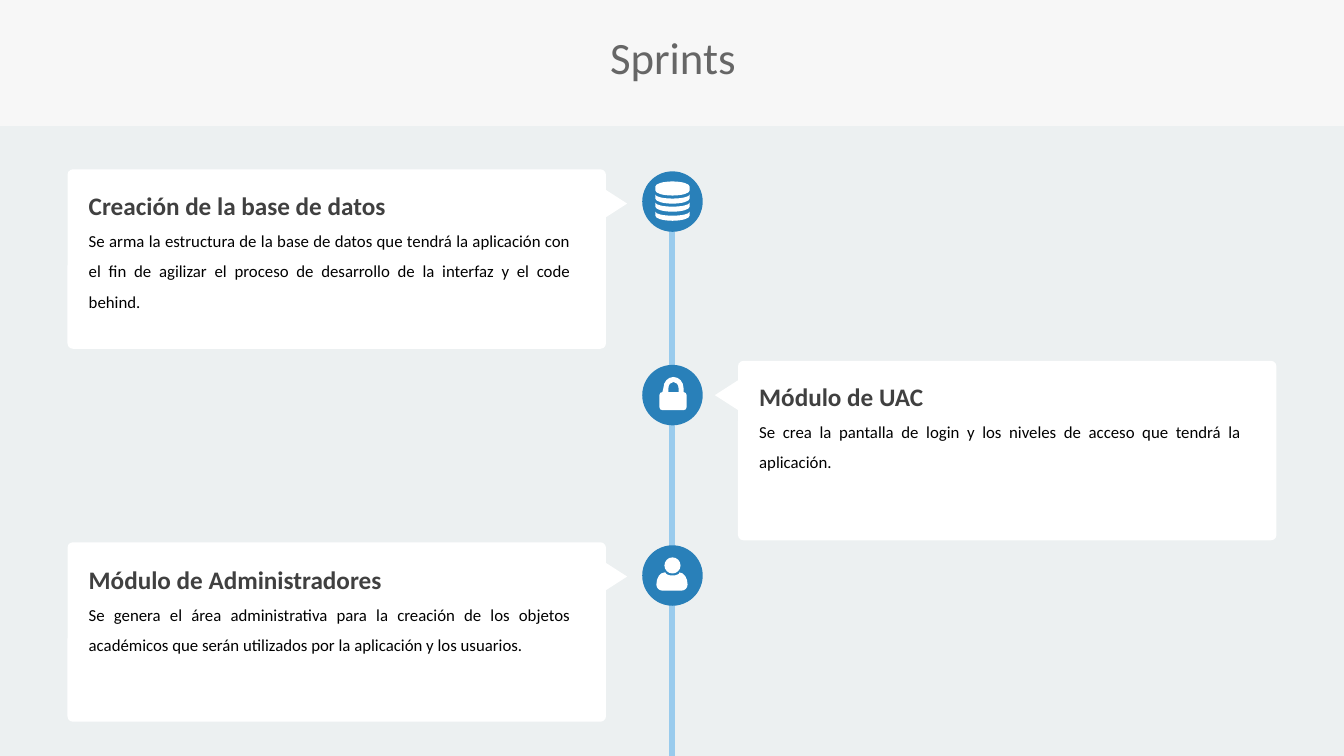
from math import cos, radians, sin

from lxml import etree
from pptx import Presentation
from pptx.dml.color import RGBColor
from pptx.enum.shapes import MSO_CONNECTOR, MSO_SHAPE
from pptx.enum.text import MSO_ANCHOR, PP_ALIGN
from pptx.oxml.ns import qn
from pptx.util import Inches, Pt


def paint(target, color):
    """Give a shape or a background a solid fill; a shape also loses line and shadow."""
    target.fill.solid()
    target.fill.fore_color.rgb = RGBColor.from_string(color)
    if hasattr(target, "shadow"):
        target.line.fill.background()
        target.shadow.inherit = False


def arc(cx, cy, rx, ry, start, end):
    """Bezier points, in threes: a straight run to the start, then one curve per quarter turn.

    Degrees run clockwise from the right.
    """
    turn = 90 if end > start else -90
    pull = 0.55 if turn > 0 else -0.55
    points = []
    for angle in range(start, end, turn):
        a, b = radians(angle), radians(angle + turn)
        if not points:
            points = [(cos(a), sin(a))] * 3
        points += [(cos(a) - pull * sin(a), sin(a) + pull * cos(a)),
                   (cos(b) + pull * sin(b), sin(b) - pull * cos(b)),
                   (cos(b), sin(b))]
    return [(Inches(cx + rx * x), Inches(cy + ry * y)) for x, y in points]


prs = Presentation()
prs.slide_width, prs.slide_height = Inches(13.33), Inches(7.5)
s = prs.slides.add_slide(prs.slide_layouts[6])
paint(s.background, "ECF0F1")

# Header and body panels
for top, height, color in [(0, 1.25, "F7F7F7"), (1.4, 6.1, "ECF0F1")]:
    panel = s.shapes.add_shape(
        MSO_SHAPE.RECTANGLE, 0, Inches(top), prs.slide_width, Inches(height))
    paint(panel, color)

# Timeline
AXIS = 6.67
timeline = s.shapes.add_connector(
    MSO_CONNECTOR.STRAIGHT, Inches(AXIS), Inches(7.5), Inches(AXIS), Inches(2.02))
timeline.line.color.rgb = RGBColor.from_string("99CBED")
timeline.line.width = Pt(4.25)
etree.SubElement(timeline._element.spPr, qn("a:effectLst"))

title = s.shapes.add_textbox(Inches(0.51), Inches(0.36), Inches(12.33), Inches(0.54))
tf = title.text_frame
tf.word_wrap = True
tf.vertical_anchor = MSO_ANCHOR.TOP
tf.margin_left = tf.margin_top = tf.margin_right = tf.margin_bottom = 0
p = tf.paragraphs[0]
p.text = "Sprints"
p.alignment = PP_ALIGN.CENTER
p.line_spacing = 0.9
p.font.name, p.font.size = "Calibri", Pt(32)
p.font.color.rgb = RGBColor.from_string("666666")

# Sprints: circle top, card left, card top, pointer left, rotation, text top, heading, body
sprints = [
    (1.7, 0.67, 1.68, 5.9, 90, 1.77, "Creación de la base de datos",
     "Se arma la estructura de la base de datos que tendrá la aplicación con el fin de "
     "agilizar el proceso de desarrollo de la interfaz y el code behind."),
    (3.62, 7.32, 3.58, 7.05, 270, 3.66, "Módulo de UAC",
     "Se crea la pantalla de login y los niveles de acceso que tendrá la aplicación."),
    (5.41, 0.67, 5.38, 5.9, 90, 5.48, "Módulo de Administradores",
     "Se genera el área administrativa para la creación de los objetos académicos que "
     "serán utilizados por la aplicación y los usuarios."),
]
for circle_top, left, top, pointer_left, rotation, text_top, heading, body in sprints:
    circle = s.shapes.add_shape(
        MSO_SHAPE.OVAL, Inches(AXIS - 0.3), Inches(circle_top), Inches(0.6), Inches(0.6))
    paint(circle, "2980B9")

    card = s.shapes.add_shape(
        MSO_SHAPE.ROUNDED_RECTANGLE, Inches(left), Inches(top), Inches(5.34), Inches(1.78))
    card.adjustments[0] = 0.03
    paint(card, "FFFFFF")
    pointer = s.shapes.add_shape(
        MSO_SHAPE.ISOSCELES_TRIANGLE, Inches(pointer_left), Inches(top + 0.2),
        Inches(0.36), Inches(0.28))
    pointer.rotation = rotation
    paint(pointer, "FFFFFF")

    text = s.shapes.add_textbox(
        Inches(left + 0.21), Inches(text_top), Inches(4.78), Inches(1.33))
    tf = text.text_frame
    tf.word_wrap = True
    tf.margin_left = tf.margin_top = tf.margin_right = tf.margin_bottom = 0
    for p, content, size, color, bold, spacing, align in [
        (tf.paragraphs[0], heading, 18, "404040", True, 1.4, PP_ALIGN.LEFT),
        (tf.add_paragraph(), body, 12, "000000", False, 1.5, PP_ALIGN.JUSTIFY),
    ]:
        p.text = content
        p.alignment, p.line_spacing = align, spacing
        p.font.name, p.font.size, p.font.bold = "Calibri", Pt(size), bold
        p.font.color.rgb = RGBColor.from_string(color)

# Icons, each a list of closed contours
person = [
    arc(6.76, 5.8, 0.06, 0.06, 90, 0)
    + arc(6.74, 5.8, 0.08, 0.12, 0, -90)
    + arc(6.67, 5.68, 0.07, 0.03, 0, 180)
    + arc(6.59, 5.8, 0.08, 0.12, 270, 180)
    + arc(6.57, 5.8, 0.06, 0.06, 180, 90),
    arc(6.67, 5.61, 0.08, 0.08, 0, 360),
]
database = [arc(AXIS, 1.85, 0.17, 0.05, 180, 360) + arc(AXIS, 1.89, 0.17, 0.05, 0, 180)]
for y in (1.93, 2.01, 2.1):
    database.append(arc(AXIS, y, 0.17, 0.04, 180, 0)
                    + arc(AXIS, y + 0.04, 0.17, 0.05, 0, 180))
padlock = [
    arc(6.57, 3.92, 0.03, 0.03, 180, 270)
    + arc(6.68, 3.85, 0.1, 0.11, 180, 360)
    + arc(6.78, 3.92, 0.03, 0.03, 270, 360)
    + arc(6.78, 4.04, 0.03, 0.03, 0, 90)
    + arc(6.57, 4.04, 0.03, 0.03, 90, 180),
    arc(6.68, 3.85, 0.05, 0.06, 360, 180)
    + [(Inches(6.63), Inches(3.89))] * 3 + [(Inches(6.73), Inches(3.89))] * 3,
]
for contours in (person, database, padlock):
    builder = s.shapes.build_freeform(*contours[0][2])
    for contour in contours:
        if contour is not contours[0]:
            builder.move_to(*contour[2])
        builder.add_line_segments(contour[3:], close=True)
    icon = builder.convert_to_shape()
    paint(icon, "FFFFFF")
    # Merge every three line points into one Bezier curve
    lines = list(icon._element.iter(qn("a:lnTo")))
    for first, second, third in zip(lines[::3], lines[1::3], lines[2::3]):
        first.tag = qn("a:cubicBezTo")
        for line in (second, third):
            first.append(line[0])
            line.getparent().remove(line)

prs.save("out.pptx")
